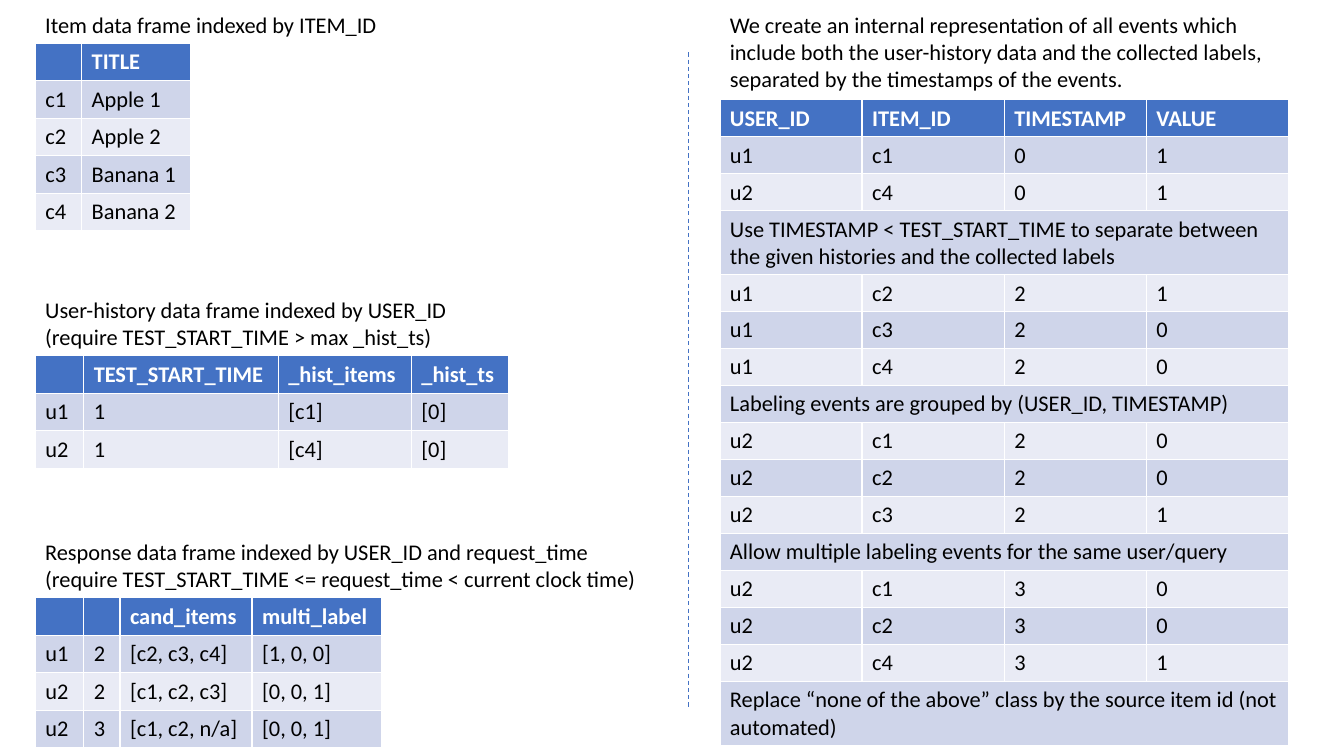
from pptx import Presentation
from pptx.dml.color import RGBColor
from pptx.enum.dml import MSO_LINE
from pptx.enum.shapes import MSO_CONNECTOR
from pptx.enum.text import MSO_AUTO_SIZE
from pptx.oxml.ns import qn
from pptx.util import Inches, Pt
from lxml import etree

STRAIGHT = MSO_CONNECTOR.STRAIGHT
DASH = MSO_LINE.DASH
GROW = MSO_AUTO_SIZE.SHAPE_TO_FIT_TEXT

BLUE = RGBColor(0x44, 0x72, 0xC4)
BAND_DARK = RGBColor(0xCF, 0xD5, 0xEA)
BAND_LIGHT = RGBColor(0xE9, 0xEB, 0xF5)
WHITE = RGBColor(0xFF, 0xFF, 0xFF)
BLACK = RGBColor(0, 0, 0)

LEFT = 0.35
RIGHT = 7.14
RIGHT_WIDTH = 5.64
ROW_HEIGHT = 0.36
NOTE_HEIGHT = 0.63


def write(para, text, font="Calibri", size=16, color=BLACK, bold=False):
    for index, line in enumerate(text.split("\n")):
        if index:
            para.add_line_break()
        span = para.add_run()
        span.text = line
        span.font.name = font
        span.font.size = Pt(size)
        span.font.color.rgb = color
        span.font.bold = bold
    if not text:
        para.runs[0]._r.getparent().remove(para.runs[0]._r)
        etree.SubElement(para._p, qn("a:endParaRPr")).set("sz", str(size * 100))


class SlideBuilder:
    def __init__(self, page):
        self.page = page

    def text(self, text, left, top, width, height, wrap=False):
        box = self.page.shapes.add_textbox(
            Inches(left), Inches(top), Inches(width), Inches(height))
        frame = box.text_frame
        frame.word_wrap = wrap
        frame.auto_size = GROW
        write(frame.paragraphs[0], text)

    def table(self, rows, left, top, widths, tall_rows=()):
        heights = [NOTE_HEIGHT if index in tall_rows else ROW_HEIGHT
                   for index in range(len(rows))]
        table = self.page.shapes.add_table(
            len(rows), len(widths), Inches(left), Inches(top),
            Inches(sum(widths)), Inches(sum(heights))).table
        for column, width in zip(table.columns, widths):
            column.width = Inches(width)
        for index, (values, height) in enumerate(zip(rows, heights)):
            table.rows[index].height = Inches(height)
            header = index == 0
            band = BAND_DARK if index % 2 else BAND_LIGHT
            if len(values) == 1:
                table.cell(index, 0).merge(table.cell(index, len(widths) - 1))
            for position, value in enumerate(values):
                cell = table.cell(index, position)
                cell.fill.solid()
                cell.fill.fore_color.rgb = BLUE if header else band
                write(cell.text_frame.paragraphs[0], value,
                      color=WHITE if header else BLACK, bold=header)

    def dashed_line(self, x, top, bottom):
        line = self.page.shapes.add_connector(
            STRAIGHT, Inches(x), Inches(top), Inches(x), Inches(bottom))
        line.line.color.rgb = BLUE
        line.line.width = Pt(0.75)
        line.line.dash_style = DASH
        etree.SubElement(line._element.spPr, qn("a:effectLst"))


deck = Presentation()
deck.slide_width = Inches(13.33)
deck.slide_height = Inches(7.5)
slide = SlideBuilder(deck.slides.add_slide(deck.slide_layouts[6]))

ITEMS = [
    ("", "TITLE"),
    ("c1", "Apple 1"),
    ("c2", "Apple 2"),
    ("c3", "Banana 1"),
    ("c4", "Banana 2"),
]
HISTORY = [
    ("", "TEST_START_TIME", "_hist_items", "_hist_ts"),
    ("u1", "1", "[c1]", "[0]"),
    ("u2", "1", "[c4]", "[0]"),
]
RESPONSES = [
    ("", "", "cand_items", "multi_label"),
    ("u1", "2", "[c2, c3, c4]", "[1, 0, 0]"),
    ("u2", "2", "[c1, c2, c3]", "[0, 0, 1]"),
    ("u2", "3", "[c1, c2, n/a]", "[0, 0, 1]"),
]
EVENTS = [
    ("USER_ID", "ITEM_ID", "TIMESTAMP", "VALUE"),
    ("u1", "c1", "0", "1"),
    ("u2", "c4", "0", "1"),
    ("Use TIMESTAMP < TEST_START_TIME to separate between "
     "the given histories and the collected labels",),
    ("u1", "c2", "2", "1"),
    ("u1", "c3", "2", "0"),
    ("u1", "c4", "2", "0"),
    ("Labeling events are grouped by (USER_ID, TIMESTAMP)",),
    ("u2", "c1", "2", "0"),
    ("u2", "c2", "2", "0"),
    ("u2", "c3", "2", "1"),
    ("Allow multiple labeling events for the same user/query",),
    ("u2", "c1", "3", "0"),
    ("u2", "c2", "3", "0"),
    ("u2", "c4", "3", "1"),
    ("Replace “none of the above” class by the source item id (not automated)",),
]

slide.table(HISTORY, LEFT, 3.53, [0.48, 1.93, 1.32, 0.97])
slide.table(ITEMS, LEFT, 0.43, [0.46, 1.08])
slide.table(RESPONSES, LEFT, 5.93, [0.48, 0.36, 1.31, 1.29])

slide.text("Item data frame indexed by ITEM_ID", LEFT, 0.06, 3.52, 0.37)
slide.text("User-history data frame indexed by USER_ID\n"
           "(require TEST_START_TIME > max _hist_ts)", LEFT, 2.89, 4.23, 0.64)
slide.text("Response data frame indexed by USER_ID and request_time\n"
           "(require TEST_START_TIME <= request_time < current clock time)",
           LEFT, 5.29, 6.14, 0.64)

slide.dashed_line(6.83, 0.52, 7.04)

slide.text("We create an internal representation of all events which include "
           "both the user-history data and the collected labels, separated by "
           "the timestamps of the events.", RIGHT, 0.06, RIGHT_WIDTH, 0.91, wrap=True)
slide.table(EVENTS, RIGHT, 0.99, [RIGHT_WIDTH / 4] * 4, tall_rows=(3, 15))

deck.save("out.pptx")
